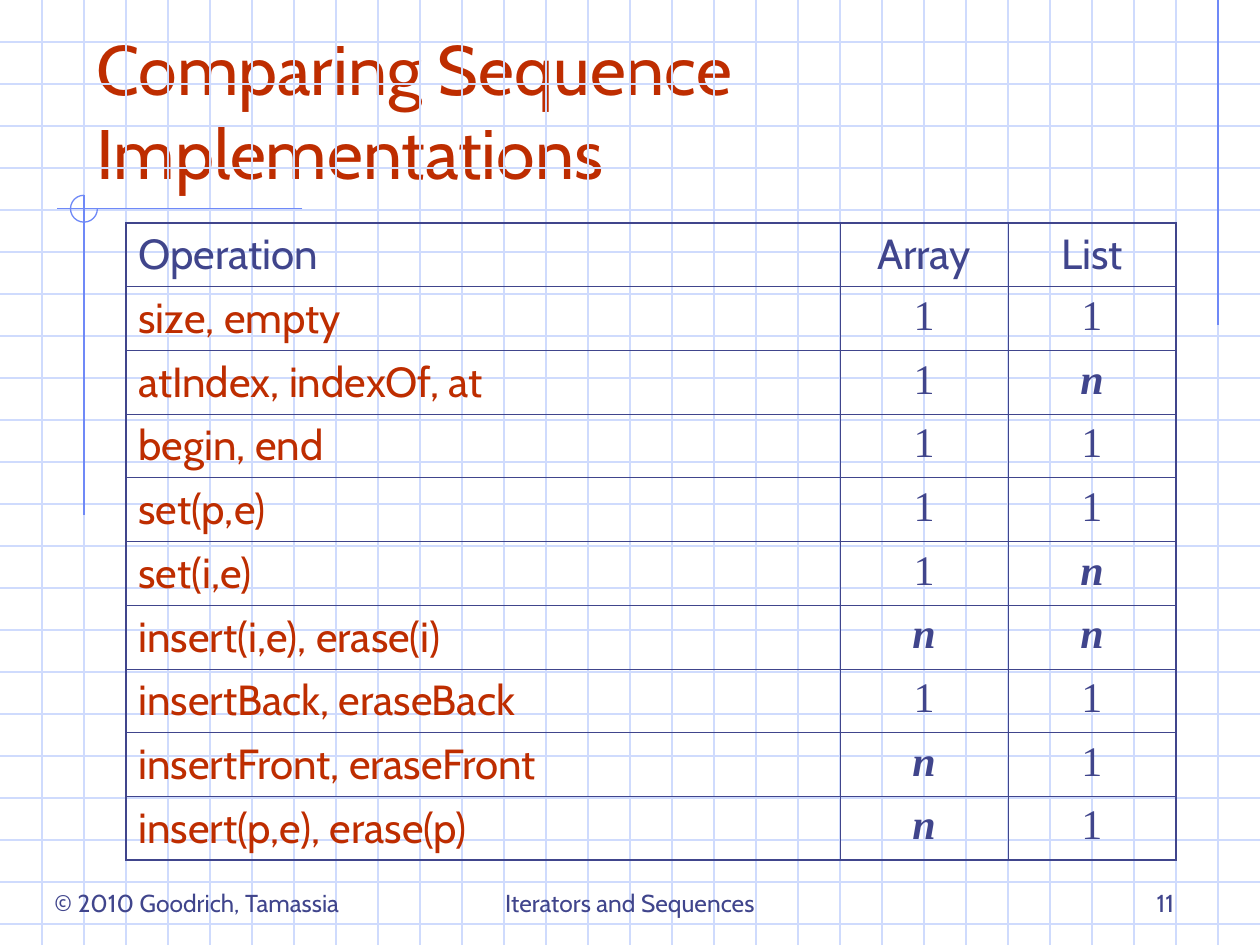
from lxml.etree import SubElement
from pptx import Presentation
from pptx.dml.color import RGBColor
from pptx.enum.shapes import MSO_CONNECTOR, MSO_SHAPE
from pptx.enum.text import MSO_ANCHOR, MSO_AUTO_SIZE, PP_ALIGN
from pptx.oxml.ns import qn
from pptx.util import Inches, Pt

GRID_BLUE = RGBColor(0xCF, 0xDB, 0xFD)
ACCENT_BLUE = RGBColor(0x6F, 0x89, 0xF7)
INDIGO = RGBColor(0x40, 0x45, 0x8C)
RUST = RGBColor(0xBE, 0x2D, 0x00)
COLUMNS, ROWS = 30, 22.5
THIN, THICK = Pt(0.45), Pt(1.08)

COSTS = [
    ("Operation", "Array", "List"),
    ("size, empty", "1", "1"),
    ("atIndex, indexOf, at", "1", "n"),
    ("begin, end", "1", "1"),
    ("set(p,e)", "1", "1"),
    ("set(i,e)", "1", "n"),
    ("insert(i,e), erase(i)", "n", "n"),
    ("insertBack, eraseBack", "1", "1"),
    ("insertFront, eraseFront", "n", "1"),
    ("insert(p,e), erase(p)", "n", "1"),
]


class GridPage:
    """Draw styled elements on a slide ruled in thirds of an inch."""

    text_font = "Cabin"
    number_font = "Times New Roman"

    def __init__(self, deck):
        self.page = deck.slides.add_slide(deck.layouts[5] if hasattr(deck, "layouts") else deck.slide_layouts[5])

    def units(self, *lengths):
        return [Inches(length / 3) for length in lengths]

    def format_text(self, frame, size, color, align=PP_ALIGN.LEFT, font=None, emphasis=False):
        paragraph = frame.paragraphs[0]
        paragraph.alignment = align
        for span in paragraph.runs:
            span.font.name = font or self.text_font
            span.font.size = Pt(size)
            span.font.color.rgb = color
            span.font.bold = span.font.italic = emphasis

    def line(self, start, end, color):
        line = self.page.shapes.add_connector(MSO_CONNECTOR.STRAIGHT, *self.units(*start, *end))
        line.line.color.rgb = color
        line.line.width = Pt(0.75)
        SubElement(line._element.spPr, qn("a:effectLst"))

    def open_circle(self, center, radius):
        left, top = (value - radius for value in center)
        ring = self.page.shapes.add_shape(
            MSO_SHAPE.ARC, *self.units(left, top, 2 * radius, 2 * radius))
        ring.adjustments[0], ring.adjustments[1] = 0, 162
        ring.shadow.inherit = False
        ring.fill.background()
        ring.line.color.rgb = ACCENT_BLUE
        ring.line.width = Pt(0.75)

    def title(self, text, *place):
        title = self.page.shapes.title
        title.left, title.top, title.width, title.height = self.units(*place)
        frame = title.text_frame
        frame.text = text
        frame.word_wrap = True
        frame.auto_size = MSO_AUTO_SIZE.NONE
        frame.vertical_anchor = MSO_ANCHOR.BOTTOM
        self.format_text(frame, 40, RUST)

    def footer(self, text, left, width, align):
        box = self.page.shapes.add_textbox(*self.units(left, 20.5, width, 1.5))
        frame = box.text_frame
        frame.text = text
        frame.word_wrap = True
        frame.vertical_anchor = MSO_ANCHOR.BOTTOM
        self.format_text(frame, 14, INDIGO, align)

    def border(self, cell, side, width):
        edge = SubElement(cell._tc.get_or_add_tcPr(), qn(f"a:ln{side}"), w=str(width))
        fill = SubElement(edge, qn("a:solidFill"))
        SubElement(fill, qn("a:srgbClr"), val=str(INDIGO))

    def table(self, records, left, top, widths, row_height):
        table = self.page.shapes.add_table(
            len(records), len(widths),
            *self.units(left, top, sum(widths), row_height * len(records))).table
        table.first_row = table.horz_banding = False
        for column, width in zip(table.columns, self.units(*widths)):
            column.width = width
        last_row, last_column = len(records) - 1, len(widths) - 1
        for row, record in enumerate(records):
            for column, text in enumerate(record):
                cell = table.cell(row, column)
                cell.text_frame.text = text
                self.format_text(
                    cell.text_frame, 24,
                    RUST if row and not column else INDIGO,
                    PP_ALIGN.CENTER if column else PP_ALIGN.LEFT,
                    self.number_font if row and column else self.text_font,
                    text == "n")
                outer = {"L": column == 0, "R": column == last_column,
                         "T": row == 0, "B": row == last_row}
                for side, is_outer in outer.items():
                    self.border(cell, side, THICK if is_outer else THIN)
                cell.fill.background()


def main():
    deck = Presentation()
    deck.slide_width, deck.slide_height = Inches(COLUMNS / 3), Inches(ROWS / 3)
    sheet = GridPage(deck)
    for row in range(1, int(ROWS) + 1):
        sheet.line((0, row), (COLUMNS, row), GRID_BLUE)
    for column in range(1, COLUMNS):
        sheet.line((column, 0), (column, ROWS), GRID_BLUE)
    sheet.line((29, 0), (29, 7.75), ACCENT_BLUE)
    sheet.line((7.2, 4.97), (1.35, 4.97), ACCENT_BLUE)
    sheet.line((2, 4.65), (2, 12.27), ACCENT_BLUE)
    sheet.open_circle((2, 4.97), 0.32)
    sheet.title("Comparing Sequence Implementations", 2, 1, 26.5, 3.75)
    sheet.table(COSTS, 3, 5.31, (17, 4, 4), 1.5)
    sheet.footer("© 2010 Goodrich, Tamassia", 1, 8.5, PP_ALIGN.LEFT)
    sheet.footer("Iterators and Sequences", 10.25, 9.5, PP_ALIGN.CENTER)
    sheet.footer("11", 22, 6.25, PP_ALIGN.RIGHT)
    deck.save("out.pptx")


if __name__ == "__main__":
    main()
